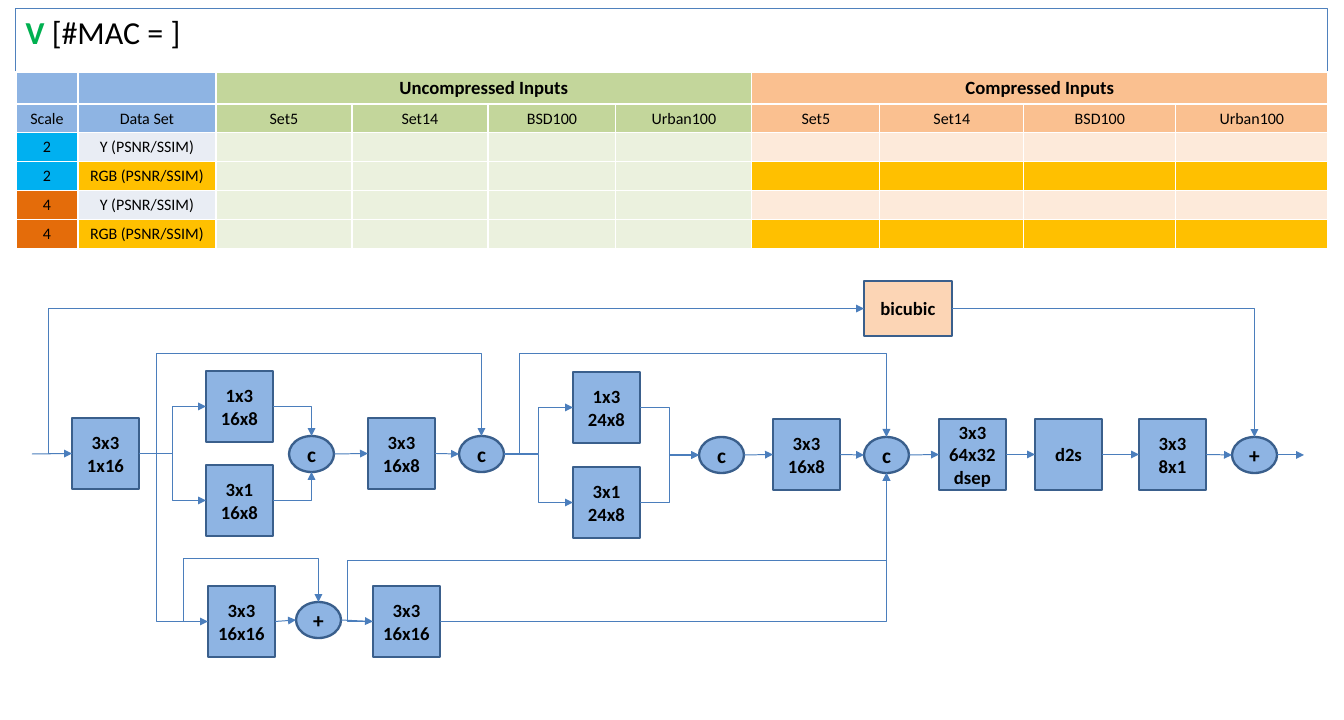
from lxml import etree
from pptx import Presentation
from pptx.dml.color import RGBColor
from pptx.enum.shapes import MSO_CONNECTOR, MSO_SHAPE
from pptx.enum.text import MSO_ANCHOR, MSO_AUTO_SIZE, PP_ALIGN
from pptx.oxml.ns import qn
from pptx.util import Pt

PX = 9525
FONT = "Calibri"
RECT, OVAL = MSO_SHAPE.RECTANGLE, MSO_SHAPE.OVAL
STRAIGHT, ELBOW = MSO_CONNECTOR.STRAIGHT, MSO_CONNECTOR.ELBOW
LEFT, CENTER = PP_ALIGN.LEFT, PP_ALIGN.CENTER
MIDDLE, TOP = MSO_ANCHOR.MIDDLE, MSO_ANCHOR.TOP
GROW = MSO_AUTO_SIZE.SHAPE_TO_FIT_TEXT

BLACK = RGBColor(0x00, 0x00, 0x00)
EMERALD = RGBColor(0x00, 0xB0, 0x50)
FRAME = RGBColor(0x4F, 0x81, 0xBD)
EDGE = RGBColor(0x3A, 0x5F, 0x8C)
WIRE = RGBColor(0x4B, 0x7E, 0xBC)
BLUE = RGBColor(0x8E, 0xB4, 0xE3)
PEACH = RGBColor(0xFC, 0xD5, 0xB5)
GREEN = RGBColor(0xC3, 0xD6, 0x9B)
ORANGE = RGBColor(0xFA, 0xC0, 0x90)
SKY = RGBColor(0x00, 0xB0, 0xF0)
RUST = RGBColor(0xE4, 0x6C, 0x0A)
PALE = RGBColor(0xE9, 0xED, 0xF4)
MINT = RGBColor(0xEB, 0xF1, 0xDE)
CREAM = RGBColor(0xFD, 0xEA, 0xDA)
GOLD = RGBColor(0xFF, 0xC0, 0x00)


def write(para, text, size, bold, color=BLACK):
    run = para.add_run()
    run.text = text
    run.font.name, run.font.size, run.font.bold = FONT, Pt(size), bold
    run.font.color.rgb = color


deck = Presentation()
deck.slide_width, deck.slide_height = 1344 * PX, 720 * PX
slide = deck.slides.add_slide(deck.slide_layouts[5])
shapes = slide.shapes

title = shapes.title
title.left, title.top, title.width, title.height = 16 * PX, 8 * PX, 1312 * PX, 48 * PX
title.line.color.rgb = FRAME
title.line.width = Pt(0.75)
frame = title.text_frame
frame.auto_size, frame.vertical_anchor = GROW, TOP
para = frame.paragraphs[0]
para.alignment = LEFT
write(para, "V", 24, True, EMERALD)
write(para, " [#MAC = ]", 24, False)

cols = [62, 138, 136, 136, 128, 136, 128, 144, 152, 152]
tall = [24, 24, 16, 24, 24, 24]
sets = ["Set5", "Set14", "BSD100", "Urban100"]
luma, color = "Y (PSNR/SSIM)", "RGB (PSNR/SSIM)"
rows = [
    (["", "", "Uncompressed Inputs", "", "", "", "Compressed Inputs"], BLUE, BLUE, GREEN, ORANGE),
    (["Scale", "Data Set"] + sets * 2, BLUE, BLUE, GREEN, ORANGE),
    (["2", luma], SKY, PALE, MINT, CREAM),
    (["2", color], SKY, GOLD, MINT, GOLD),
    (["4", luma], RUST, PALE, MINT, CREAM),
    (["4", color], RUST, GOLD, MINT, GOLD),
]
grid = shapes.add_table(6, 10, 16 * PX, 72 * PX, sum(cols) * PX, sum(tall) * PX).table
grid.horz_banding = False
for col, width in zip(grid.columns, cols):
    col.width = width * PX
for r, (words, scale, data, plain, packed) in enumerate(rows):
    grid.rows[r].height = tall[r] * PX
    fills = [scale, data] + [plain] * 4 + [packed] * 4
    words = words + [""] * (10 - len(words))
    for c, (word, fill) in enumerate(zip(words, fills)):
        cell = grid.cell(r, c)
        cell.fill.solid()
        cell.fill.fore_color.rgb = fill
        cell.vertical_anchor = MIDDLE
        para = cell.text_frame.paragraphs[0]
        para.alignment = CENTER
        if word:
            write(para, word, 12 if r else 14, r == 0)
        else:
            etree.SubElement(para._p, qn("a:endParaRPr")).set("sz", "1200")
for c in (2, 6):
    grid.cell(0, c).merge(grid.cell(0, c + 3))

blocks = [
    ("stem", 72, 418, "3x3 1x16"),
    ("wide1", 206, 371, "1x3 16x8"),
    ("high1", 206, 465, "3x1 16x8"),
    ("cat1", 289, 436, "c"),
    ("conv1", 368, 418, "3x3 16x8"),
    ("cat2", 459, 436, "c"),
    ("wide2", 573, 372, "1x3 24x8"),
    ("high2", 573, 467, "3x1 24x8"),
    ("cat3", 699, 437, "c"),
    ("conv2", 773, 419, "3x3 16x8"),
    ("cat4", 864, 437, "c"),
    ("dsep", 939, 419, "3x3 64x32 dsep"),
    ("d2s", 1035, 419, "d2s"),
    ("last", 1139, 419, "3x3 8x1"),
    ("sum", 1232, 437, "+"),
    ("cubic", 864, 281, "bicubic"),
    ("res1", 208, 586, "3x3 16x16"),
    ("add", 296, 602, "+"),
    ("res2", 373, 586, "3x3 16x16"),
]
nodes = {}
for name, x, y, label in blocks:
    round_ = label in "c+"
    wide, high = (45, 36) if round_ else (88, 55) if name == "cubic" else (67, 71)
    node = shapes.add_shape(OVAL if round_ else RECT, x * PX, y * PX, wide * PX, high * PX)
    node.shadow.inherit = False
    node.fill.solid()
    node.fill.fore_color.rgb = PEACH if name == "cubic" else BLUE
    node.line.color.rgb = EDGE
    node.line.width = Pt(1.75)
    frame = node.text_frame
    frame.vertical_anchor = MIDDLE
    for i, word in enumerate(label.split()):
        para = frame.add_paragraph() if i else frame.paragraphs[0]
        para.alignment = CENTER
        write(para, word, 16 if round_ else 14, True)
    nodes[name] = node

SIDES = {"top": (0.5, 0, 0), "left": (0, 0.5, 1), "bottom": (0.5, 1, 2), "right": (1, 0.5, 3)}


def locate(name, side):
    if not name:
        return side[0] * PX, side[1] * PX
    node = nodes[name]
    dx, dy, _ = SIDES[side]
    return node.left + int(node.width * dx), node.top + int(node.height * dy)


chains = [
    ["stem"], ["cat1", "conv1", "cat2"],
    ["cat3", "conv2", "cat4", "dsep", "d2s", "last", "sum"],
    ["res1", "add", "res2"],
]
links = [(a, "right", b, "left", 1, []) for run in chains for a, b in zip(run, run[1:])]
links += [
    ("", (32, 454), "stem", "left", 1, []),
    ("sum", "right", "", (1304, 455), 1, []),
    ("stem", "right", "wide1", "left", 3, [0.5]),
    ("stem", "right", "high1", "left", 3, [0.5]),
    ("wide1", "right", "cat1", "top", 2, []),
    ("high1", "right", "cat1", "bottom", 2, []),
    ("stem", "right", "cat2", "top", 4, [0.05, 5.72]),
    ("cat2", "right", "cat4", "top", 4, [0.04, 5.9]),
    ("cat2", "right", "wide2", "left", 3, [0.5]),
    ("cat2", "right", "high2", "left", 3, [0.5]),
    ("wide2", "right", "cat3", "left", 3, [0.5]),
    ("high2", "right", "cat3", "left", 3, [0.5]),
    ("stem", "left", "cubic", "left", 3, [-0.03]),
    ("cubic", "right", "sum", "top", 2, []),
    ("stem", "right", "res1", "left", 3, [0.26]),
    ("res1", "left", "add", "top", 4, [-0.22, 3.24]),
    ("res2", "right", "cat4", "bottom", 2, []),
    ("res2", "left", "cat4", "bottom", 4, [-0.05, 0.41]),
]
for start, exit_, stop, entry, bends, adjust in links:
    ends = locate(start, exit_) + locate(stop, entry)
    wire = shapes.add_connector(STRAIGHT if bends == 1 else ELBOW, *ends)
    wire.line.color.rgb = WIRE
    wire.line.width = Pt(0.75)
    etree.SubElement(wire.line._get_or_add_ln(), qn("a:tailEnd")).set("type", "triangle")
    props = wire._element.spPr
    etree.SubElement(props, qn("a:effectLst"))
    glue = wire._element.nvCxnSpPr.cNvCxnSpPr
    for tag, name, side in (("a:stCxn", start, exit_), ("a:endCxn", stop, entry)):
        if name:
            step = 2 if nodes[name].auto_shape_type == OVAL else 1
            join = etree.SubElement(glue, qn(tag))
            join.set("id", str(nodes[name].shape_id))
            join.set("idx", str(SIDES[side][2] * step))
    if bends > 1:
        shape = props.find(qn("a:prstGeom"))
        shape.set("prst", f"bentConnector{bends}")
        guides = shape.find(qn("a:avLst"))
        for i, value in enumerate(adjust, 1):
            guide = etree.SubElement(guides, qn("a:gd"))
            guide.set("name", f"adj{i}" if bends > 2 else "adj")
            guide.set("fmla", f"val {round(value * 100000)}")
        if exit_ == "left":
            turn = props.find(qn("a:xfrm"))
            turn.attrib.pop("flipV", None)
            turn.set("rot", "10800000")
            turn.set("flipH", "1")

deck.save("out.pptx")
